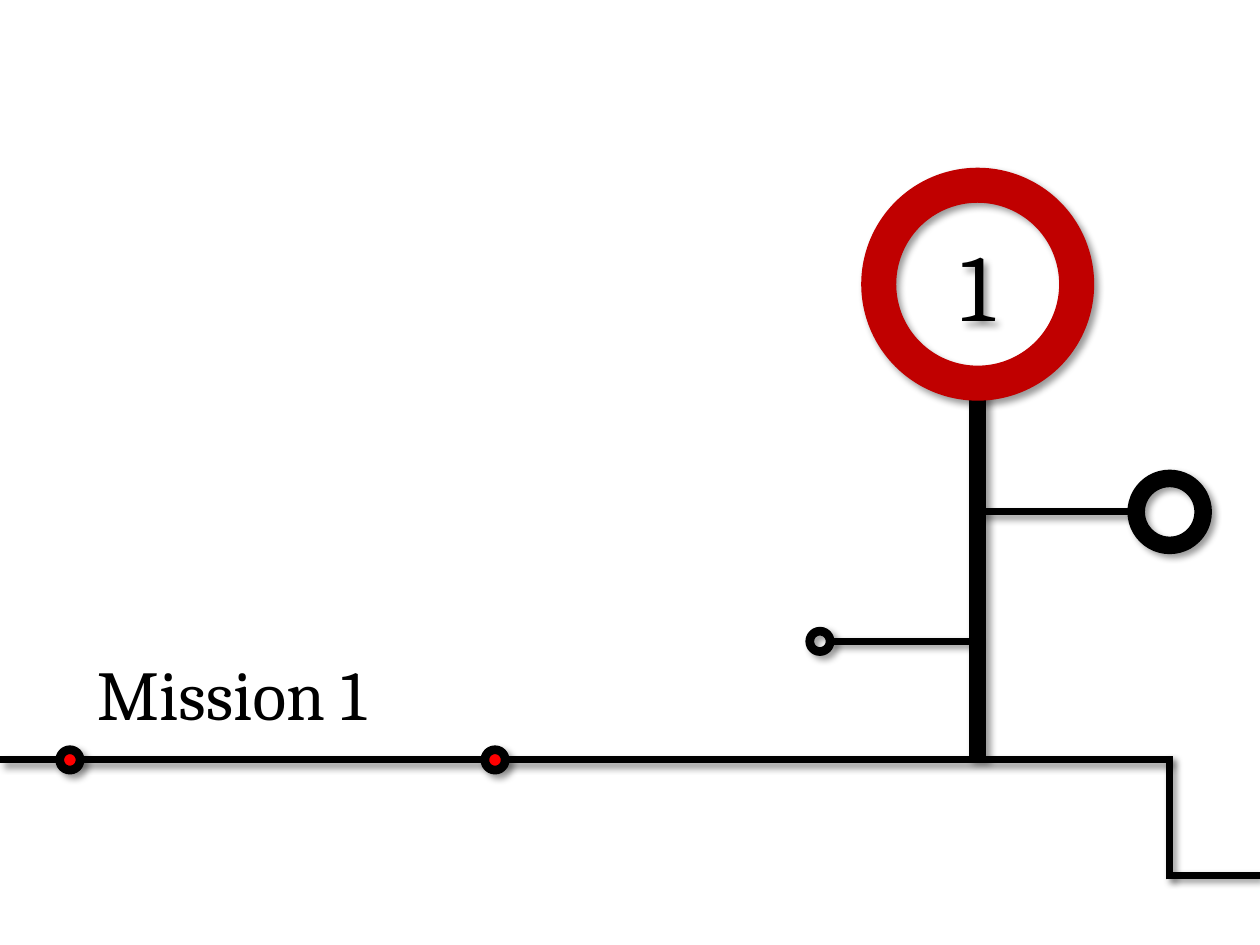
from lxml import etree
from pptx import Presentation
from pptx.dml.color import RGBColor
from pptx.enum.shapes import MSO_CONNECTOR, MSO_SHAPE
from pptx.enum.text import MSO_ANCHOR, MSO_AUTO_SIZE, PP_ALIGN
from pptx.oxml import parse_xml
from pptx.util import Cm, Pt

BLACK = RGBColor(0x00, 0x00, 0x00)
RED = RGBColor(0xFF, 0x00, 0x00)
CRIMSON = RGBColor(0xC0, 0x00, 0x00)
OVAL = MSO_SHAPE.OVAL
STRAIGHT = MSO_CONNECTOR.STRAIGHT
LEFT, CENTER = PP_ALIGN.LEFT, PP_ALIGN.CENTER
TOP, MIDDLE = MSO_ANCHOR.TOP, MSO_ANCHOR.MIDDLE
GROW = MSO_AUTO_SIZE.SHAPE_TO_FIT_TEXT
NS = "http://schemas.openxmlformats.org/drawingml/2006/main"
SHADOW = (
    f'<a:effectLst xmlns:a="{NS}">'
    '<a:outerShdw blurRad="50800" dist="38100" dir="2700000" algn="tl" rotWithShape="0">'
    '<a:srgbClr val="000000"><a:alpha val="40000"/></a:srgbClr>'
    "</a:outerShdw></a:effectLst>"
)


def write(frame, text, size=40, color=BLACK, font="Cambria", align=LEFT, anchor=TOP):
    frame.vertical_anchor = anchor
    para = frame.paragraphs[0]
    para.alignment = align
    run = para.add_run()
    run.text = text
    run.font.size = Pt(size)
    run.font.name = font
    run.font.color.rgb = color


def shade(shape):
    props = shape.element.spPr
    for old in props.findall(etree.QName(NS, "effectLst").text):
        props.remove(old)
    props.append(parse_xml(SHADOW))


class Canvas:
    def __init__(self, slide, ink=BLACK, thin=4):
        self.slide = slide
        self.ink = ink
        self.thin = thin

    def title(self, text, left, top, width, height):
        box = self.slide.shapes.title
        box.left, box.top = Cm(left), Cm(top)
        box.width, box.height = Cm(width), Cm(height)
        frame = box.text_frame
        frame.word_wrap = False
        frame.auto_size = GROW
        write(frame, text)

    def line(self, x1, y1, x2, y2, width=None):
        line = self.slide.shapes.add_connector(STRAIGHT, Cm(x1), Cm(y1), Cm(x2), Cm(y2))
        line.line.color.rgb = self.ink
        line.line.width = Pt(width or self.thin)
        shade(line)

    def ring(self, x, y, size, width, color=None, fill=None):
        half = size / 2
        ring = self.slide.shapes.add_shape(OVAL, Cm(x - half), Cm(y - half), Cm(size), Cm(size))
        if fill is None:
            ring.fill.background()
        else:
            ring.fill.solid()
            ring.fill.fore_color.rgb = fill
        ring.line.color.rgb = color or self.ink
        ring.line.width = Pt(width)
        shade(ring)
        return ring


def main():
    deck = Presentation()
    deck.slide_width, deck.slide_height = Cm(25.4), Cm(19.05)
    art = Canvas(deck.slides.add_slide(deck.slide_layouts[5]))

    base, trunk, step, floor = 15.32, 19.71, 23.58, 17.65
    head, head_size = 5.73, 3.99
    upper, lower = 10.32, 12.93
    bud, bud_size, dot = 16.53, 1.35, 0.41

    art.title("Mission 1", 1.7, 12.98, 6.17, 1.96)
    art.line(0, base, step, base)
    art.line(trunk, head + head_size / 2, trunk, base, width=10)
    badge = art.ring(trunk, head, head_size, 20, color=CRIMSON)
    write(badge.text_frame, "1", size=54, align=CENTER, anchor=MIDDLE)

    art.line(bud + dot / 2, lower, trunk, lower)
    art.line(trunk, upper, step - bud_size / 2, upper)
    art.ring(step, upper, bud_size, 10)
    art.ring(bud, lower, dot, 5)

    art.line(step, floor + 0.08, step, base - 0.08)
    art.line(step, floor, 25.4, floor)
    for x in (1.41, 9.98):
        art.ring(x, base, dot, 5, fill=RED)

    deck.save("out.pptx")


if __name__ == "__main__":
    main()
